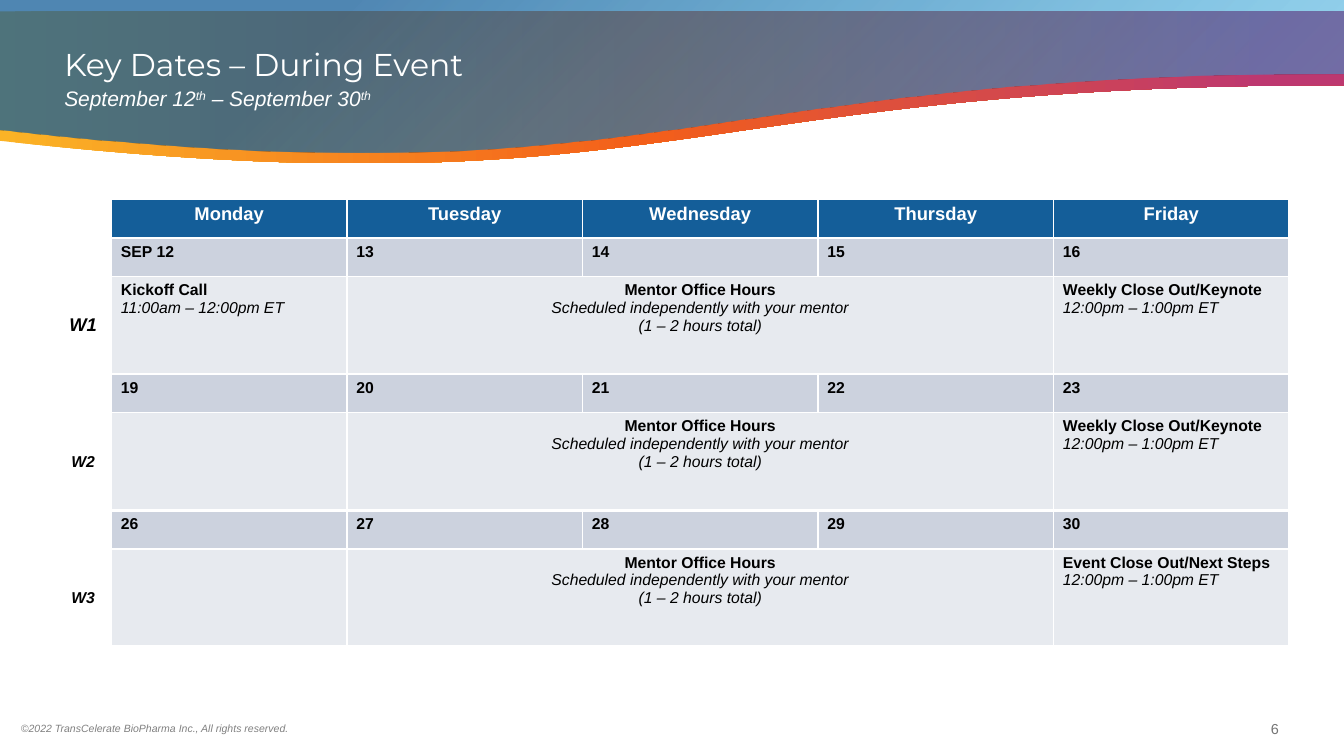
"""Build the key dates slide with its three-week event calendar."""
import pptx
import pptx.dml.color
import pptx.enum.text
import pptx.oxml
import pptx.oxml.ns
import pptx.util

Inches = pptx.util.Inches
Pt = pptx.util.Pt
RGBColor = pptx.dml.color.RGBColor
ALIGN = pptx.enum.text.PP_ALIGN
ANCHOR = pptx.enum.text.MSO_ANCHOR
NS = pptx.oxml.ns.nsdecls("a")

WHITE = RGBColor(0xFF, 0xFF, 0xFF)
BLACK = RGBColor(0x00, 0x00, 0x00)
BLUE = RGBColor(0x14, 0x5E, 0x99)
SKY = RGBColor(0x27, 0xAA, 0xE1)
AMBER = RGBColor(0xFB, 0xB3, 0x26)
ORANGE = RGBColor(0xF3, 0x5F, 0x1A)
MAGENTA = RGBColor(0xBD, 0x38, 0x70)
DATE_FILL = RGBColor(0xCC, 0xD2, 0xDE)
EVENT_FILL = RGBColor(0xE7, 0xEA, 0xEF)
FOOTER_GRAY = RGBColor(0x80, 0x80, 0x80)
NUMBER_GRAY = RGBColor(0x75, 0x75, 0x75)

SLIDE_W, SLIDE_H = 14.22, 8
THIN, THICK = 1, 2.25
DATE_H, EVENT_H = 0.41, 1.03
TABLE_W, WEEK_W = 13.06, 0.6
DAYS = ["Monday", "Tuesday", "Wednesday", "Thursday", "Friday"]
MENTOR = "Mentor Office Hours\nScheduled independently with your mentor\n(1 – 2 hours total)"
CLOSE_OUT = "Weekly Close Out/Keynote\n12:00pm – 1:00pm ET"
WEEKS = [
    ("W1", 14, ["SEP 12", "13", "14", "15", "16"], "Kickoff Call\n11:00am – 12:00pm ET", CLOSE_OUT),
    ("W2", 12, ["19", "20", "21", "22", "23"], "", CLOSE_OUT),
    ("W3", 12, ["26", "27", "28", "29", "30"], "", "Event Close Out/Next Steps\n12:00pm – 1:00pm ET"),
]


def set_font(font, size, color, bold=False, italic=False, name="Arial"):
    """Set the font properties used on this slide."""
    font.name, font.size, font.bold, font.italic = name, Pt(size), bold, italic
    font.color.rgb = color


def place(sp, left, top, width, height):
    """Set the position and size of a shape in inches."""
    sp.left, sp.top = Inches(left), Inches(top)
    sp.width, sp.height = Inches(width), Inches(height)


def set_frame(tf, anchor, right=0):
    """Set the margins, wrapping and anchor of a text frame."""
    tf.word_wrap = True
    tf.auto_size = pptx.enum.text.MSO_AUTO_SIZE.NONE
    tf.vertical_anchor = anchor
    tf.margin_left, tf.margin_right = 0, Inches(right)
    tf.margin_top = tf.margin_bottom = Inches(0.05)


def set_gradient(sp, stops, angle):
    """Fill a shape with a linear gradient of (position, color, opacity) stops."""
    gs = "".join(
        f'<a:gs pos="{pos * 1000}"><a:srgbClr val="{color}">'
        f'<a:alpha val="{opacity * 1000}"/></a:srgbClr></a:gs>'
        for pos, color, opacity in stops)
    grad = pptx.oxml.parse_xml(
        f'<a:gradFill {NS} rotWithShape="1"><a:gsLst>{gs}</a:gsLst>'
        f'<a:lin ang="{angle * 60000}" scaled="0"/></a:gradFill>')
    sp.fill.background()
    spPr = sp.element.spPr
    spPr.replace(spPr.find(pptx.oxml.ns.qn("a:noFill")), grad)


def add_wave(s, top, stops, angle):
    """Add a full-width band whose lower edge is one cubic curve."""
    right, dip, left, height = 0.78, 2.15, 1.37, 1.61
    fb = s.shapes.build_freeform(0, Inches(top), scale=1.0)
    corners = [(SLIDE_W, 0), (SLIDE_W, right), (SLIDE_W / 2, height), (0, left)]
    fb.add_line_segments([(Inches(x), Inches(top + y)) for x, y in corners], close=True)
    sp = fb.convert_to_shape()
    lines = list(sp.element.iter(pptx.oxml.ns.qn("a:lnTo")))
    curve = [(SLIDE_W / 2, right), (SLIDE_W / 2, dip), (0, left)]
    pts = "".join(f'<a:pt x="{Inches(x)}" y="{Inches(y)}"/>' for x, y in curve)
    outline = lines[2].getparent()
    outline.replace(lines[2], pptx.oxml.parse_xml(f"<a:cubicBezTo {NS}>{pts}</a:cubicBezTo>"))
    outline.remove(lines[3])
    sp.shadow.inherit = False
    sp.line.fill.background()
    set_gradient(sp, stops, angle)


def add_title(s):
    """Format the title placeholder."""
    sp = s.shapes.title
    place(sp, 0.68, 0.17, 11.46, 0.76)
    set_frame(sp.text_frame, ANCHOR.BOTTOM, 0.1)
    sp.text_frame.text = "Key Dates – During Event"
    p = sp.text_frame.paragraphs[0]
    p.alignment, p.line_spacing = ALIGN.LEFT, 0.9
    set_font(p.runs[0].font, 24, WHITE, name="Montserrat")
    s.shapes.element.append(sp.element)


def add_subtitle(s):
    """Format the body placeholder with the date range."""
    sp = s.placeholders[1]
    place(sp, 0.68, 0.86, 6.94, 0.65)
    set_frame(sp.text_frame, ANCHOR.TOP)
    p = sp.text_frame.paragraphs[0]
    pPr = p._p.get_or_add_pPr()
    pPr.set("marL", "0")
    pPr.set("indent", "0")
    pPr.append(pptx.oxml.parse_xml(f"<a:buNone {NS}/>"))
    p.space_before = Pt(0)
    for text in ["September 12", "th", " – September 30", "th"]:
        r = p.add_run()
        r.text = text
        set_font(r.font, 16, WHITE, italic=True)
        if text == "th":
            r._r.get_or_add_rPr().set("baseline", "30000")
    s.shapes.element.append(sp.element)


def add_label(s, text, box, size, color, align, italic=False):
    """Add a one-line footer text box."""
    sp = s.shapes.add_textbox(*map(Inches, box))
    set_frame(sp.text_frame, ANCHOR.MIDDLE)
    sp.text_frame.text = text
    p = sp.text_frame.paragraphs[0]
    p.alignment = align
    set_font(p.runs[0].font, size, color, italic=italic)


def set_borders(cell, left, right, top, bottom):
    """Draw white borders of the given widths around a cell."""
    tcPr = cell._tc.get_or_add_tcPr()
    for side, width in zip("LRTB", (left, right, top, bottom)):
        tcPr.append(pptx.oxml.parse_xml(
            f'<a:ln{side} {NS} w="{Pt(width)}">'
            f'<a:solidFill><a:srgbClr val="{WHITE}"/></a:solidFill></a:ln{side}>'))


def fill_cell(cell, text, size=12, color=BLACK, align=ALIGN.LEFT, italic=False):
    """Write a bold first line followed by italic detail lines."""
    cell.text_frame.text = text
    for i, p in enumerate(cell.text_frame.paragraphs):
        p.alignment = align
        for r in p.runs:
            set_font(r.font, size, color, bold=i == 0, italic=italic or i > 0)


def style_grid(table):
    """Set the row heights, fills and borders of the calendar."""
    for row, tr in enumerate(table.rows):
        is_event = row > 0 and row % 2 == 0
        tr.height = Inches(EVENT_H if is_event else DATE_H)
        fill = BLUE if row == 0 else EVENT_FILL if is_event else DATE_FILL
        for col, cell in enumerate(tr.cells):
            set_borders(cell,
                        THICK if row and col == 0 else THIN,
                        THICK if row and col == len(DAYS) else THIN,
                        THICK if row % 2 else THIN,
                        THIN if row % 2 else THICK)
            if col == 0:
                cell.fill.background()
            else:
                cell.fill.solid()
                cell.fill.fore_color.rgb = fill


def add_calendar(s):
    """Add the calendar table with a date row and an event row per week."""
    rows = 1 + 2 * len(WEEKS)
    height = DATE_H + len(WEEKS) * (DATE_H + EVENT_H)
    table = s.shapes.add_table(rows, 1 + len(DAYS), Inches(0.58), Inches(2.11),
                               Inches(TABLE_W), Inches(height)).table
    table.first_row = table.horz_banding = False
    for col, column in enumerate(table.columns):
        column.width = Inches((TABLE_W - WEEK_W) / len(DAYS) if col else WEEK_W)
    style_grid(table)
    for col, day in enumerate(DAYS, 1):
        fill_cell(table.cell(0, col), day, 14, WHITE, ALIGN.CENTER)
    for week, (label, size, dates, monday, friday) in enumerate(WEEKS):
        row = 1 + 2 * week
        for col, date in enumerate(dates, 1):
            fill_cell(table.cell(row, col), date)
        event = row + 1
        table.cell(event, 0).vertical_anchor = ANCHOR.MIDDLE
        fill_cell(table.cell(event, 0), label, size, align=ALIGN.CENTER, italic=True)
        fill_cell(table.cell(event, 1), monday)
        table.cell(event, 2).merge(table.cell(event, 4))
        fill_cell(table.cell(event, 2), MENTOR, align=ALIGN.CENTER)
        fill_cell(table.cell(event, 5), friday)


def main():
    """Build and save the slide."""
    prs = pptx.Presentation()
    prs.slide_width, prs.slide_height = Inches(SLIDE_W), Inches(SLIDE_H)
    s = prs.slides.add_slide(prs.slide_layouts[1])
    add_wave(s, 0.12, [(0, AMBER, 100), (48, ORANGE, 100), (94, MAGENTA, 100)], 0)
    for start, end in [(25, 10), (65, 40)]:
        add_wave(s, 0, [(24, BLUE, start), (100, SKY, end)], 45)
    add_label(s, "©2022 TransCelerate BioPharma Inc., All rights reserved.",
              (0.22, 7.59, 4.58, 0.24), 8, FOOTER_GRAY, ALIGN.LEFT, italic=True)
    add_label(s, "6", (13.27, 7.56, 0.44, 0.3), 11, NUMBER_GRAY, ALIGN.CENTER)
    add_title(s)
    add_subtitle(s)
    add_calendar(s)
    prs.save("out.pptx")


if __name__ == "__main__":
    main()
